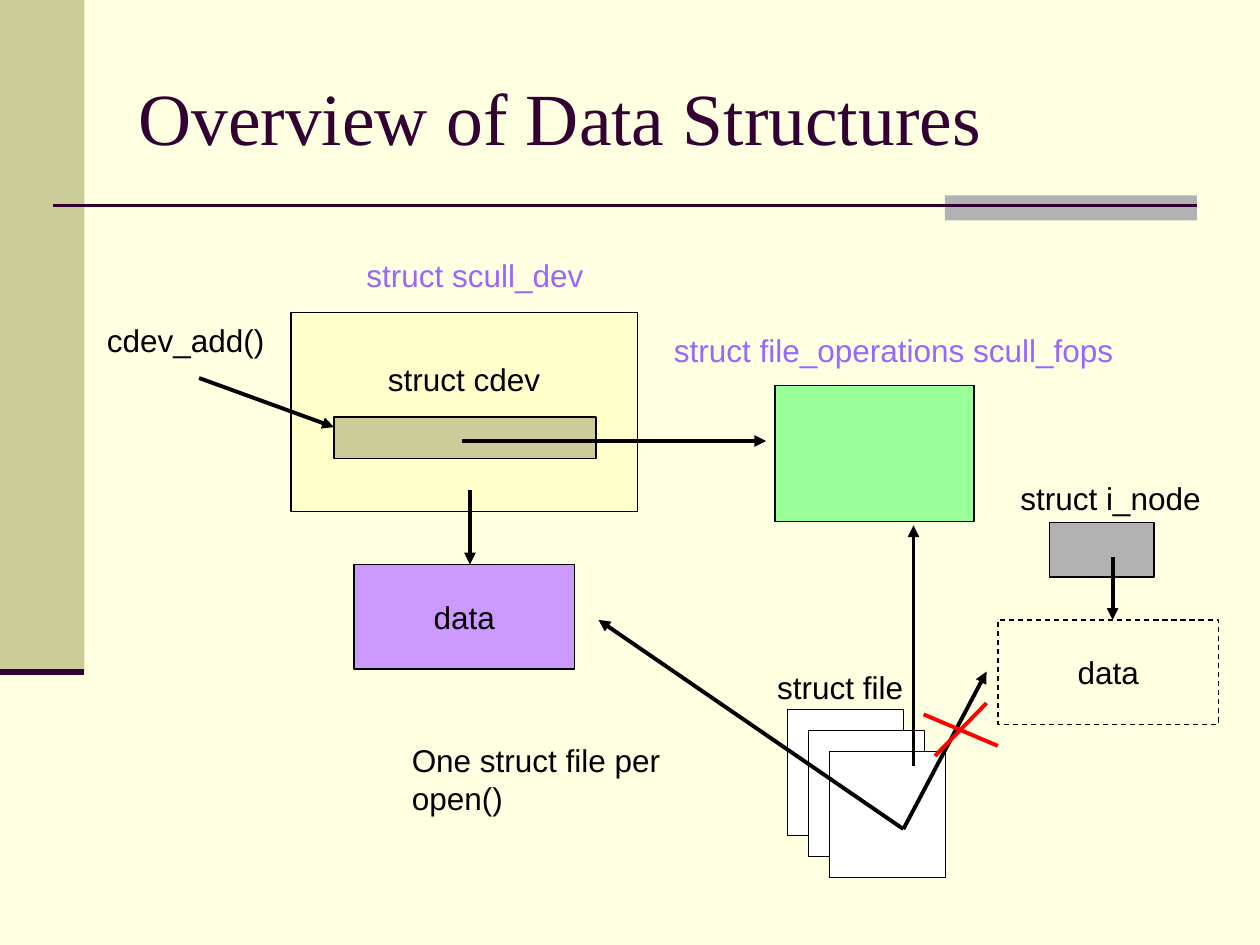
import dataclasses
import pptx
import pptx.dml.color
import pptx.enum.dml
import pptx.enum.shapes
import pptx.enum.text
import pptx.oxml
import pptx.oxml.ns
import pptx.util


@dataclasses.dataclass(frozen=True)
class Theme:
    page: str = "FFFFE1"
    band: str = "CCCC99"
    dark: str = "330033"
    grey: str = "B2B2B2"
    cream: str = "FFFFCC"
    green: str = "99FF99"
    lilac: str = "CC99FF"
    violet: str = "9966FF"
    white: str = "FFFFFF"
    black: str = "000000"
    red: str = "FF0000"
    serif: str = "Times New Roman"
    sans: str = "Arial"
    head: float = 42
    body: float = 18
    thin: float = 0.75
    thick: float = 2.25


@dataclasses.dataclass(frozen=True)
class Box:
    """A region in grid cells; each cell is one inch square."""
    left: float
    top: float
    width: float
    height: float

    def place(self, x, y):
        return (pptx.util.Inches(self.left + x), pptx.util.Inches(self.top + y))


THEME = Theme()
COLS, ROWS = 10, 7.5
LABEL = 0.4  # height of a one-line label


def paint(color):
    return pptx.dml.color.RGBColor.from_string(color)


def write(shape, text, color, font=THEME.sans, size=THEME.body,
          align=None, middle=False, wrap=False):
    frame = shape.text_frame
    frame.word_wrap = wrap
    anchor = pptx.enum.text.MSO_ANCHOR
    frame.vertical_anchor = anchor.MIDDLE if middle else anchor.TOP
    para = frame.paragraphs[0]
    para.text = text
    para.alignment = align
    para.font.name = font
    para.font.size = pptx.util.Pt(size)
    para.font.color.rgb = paint(color)


def label(slide, box, x, y, width, text, color=THEME.black):
    shape = slide.shapes.add_textbox(
        *box.place(x, y), pptx.util.Inches(width), pptx.util.Inches(LABEL))
    write(shape, text, color)


def block(slide, box, x, y, width, height, fill=None, edge=True, text=None):
    shape = slide.shapes.add_shape(
        pptx.enum.shapes.MSO_SHAPE.RECTANGLE, *box.place(x, y),
        pptx.util.Inches(width), pptx.util.Inches(height))
    shape.shadow.inherit = False
    if fill:
        shape.fill.solid()
        shape.fill.fore_color.rgb = paint(fill)
    else:
        shape.fill.background()
    if edge:
        shape.line.color.rgb = paint(THEME.black)
        shape.line.width = pptx.util.Pt(THEME.thin)
    else:
        shape.line.fill.background()
    if text:
        write(shape, text, THEME.black,
              align=pptx.enum.text.PP_ALIGN.CENTER, middle=True)
    return shape


def stroke(slide, box, start, end, color=THEME.black, width=THEME.thick):
    line = slide.shapes.add_connector(
        pptx.enum.shapes.MSO_CONNECTOR.STRAIGHT,
        *box.place(*start), *box.place(*end))
    line.line.color.rgb = paint(color)
    line.line.width = pptx.util.Pt(width)
    props = line._element.spPr
    props.append(pptx.oxml.parse_xml(
        f"<a:effectLst {pptx.oxml.ns.nsdecls('a')}/>"))
    return line


def arrow(slide, box, start, end):
    line = stroke(slide, box, start, end)
    line.line._get_or_add_ln().append(pptx.oxml.parse_xml(
        f"<a:tailEnd {pptx.oxml.ns.nsdecls('a')} type='triangle'/>"))


def frame(slide, box):
    # Side band, corner bar and rules
    side, foot = 0.67, 5.33
    block(slide, box, 0, 0, side, foot, THEME.band, edge=False)
    block(slide, box, 7.5, 1.55, 2, 0.2, THEME.grey, edge=False)
    stroke(slide, box, (0.42, 1.63), (9.5, 1.63), THEME.dark, 1.5)
    stroke(slide, box, (0, foot), (side, foot), THEME.dark, 3.5)


def title(slide, box):
    shape = slide.shapes.add_textbox(
        *box.place(0, 0), pptx.util.Inches(box.width),
        pptx.util.Inches(box.height))
    write(shape, "Overview of Data Structures", THEME.dark, THEME.serif,
          THEME.head, middle=True, wrap=True)


def device(slide, box):
    # Device struct with its embedded cdev
    block(slide, box, 1.56, 0.5, 2.75, 1.58, THEME.cream)
    label(slide, box, 2.06, 0, 1.92, "struct scull_dev", THEME.violet)
    block(slide, box, 1.9, 1.33, 2.08, 0.33, THEME.band)
    label(slide, box, 2.23, 0.83, 1.41, "struct cdev")
    arrow(slide, box, (2.92, 1.52), (5.33, 1.52))
    # Registration call
    label(slide, box, 0, 0.52, 1.45, "cdev_add()")
    arrow(slide, box, (0.83, 1.02), (1.9, 1.41))
    # Device data
    block(slide, box, 2.06, 2.5, 1.75, 0.83, THEME.lilac, text="data")
    arrow(slide, box, (2.98, 1.91), (2.98, 2.5))


def table(slide, box):
    # File operations
    block(slide, box, 0.9, 0.48, 1.58, 1.08, THEME.green)
    label(slide, box, 0, 0, box.width,
          "struct file_operations scull_fops", THEME.violet)


def inode(slide, box):
    # Inode and its unused data
    block(slide, box, 0.41, LABEL, 0.83, 0.43, THEME.grey)
    label(slide, box, 0.08, 0, 1.63, "struct i_node")
    data = block(slide, box, 0, 1.17, box.width, 0.83, text="data")
    data.line.dash_style = pptx.enum.dml.MSO_LINE.DASH
    arrow(slide, box, (0.91, 0.67), (0.91, 1.17))


def files(slide, box):
    # Stack of open files
    step = 1 / 6
    for num in range(3):
        block(slide, box, 3.08 + num * step, 0.38 + num * step,
              0.92, 1, THEME.white)
    label(slide, box, 2.9, 0, 1.2, "struct file")
    label(slide, box, 0, 0.58, 2.96, "One struct file per open()")
    # Links to inode data, device data and operations
    root = (4, 1.33)
    arrow(slide, box, root, (4.66, 0.08))
    arrow(slide, box, root, (1.58, -0.33))
    # Cross over the link to inode data
    stroke(slide, box, (4.66, 0.33), (4.25, 0.75), THEME.red)
    stroke(slide, box, (4.16, 0.42), (4.75, 0.67), THEME.red)
    arrow(slide, box, (4.08, 0.83), (4.08, -1.08))


def main():
    deck = pptx.Presentation()
    deck.slide_width = pptx.util.Inches(COLS)
    deck.slide_height = pptx.util.Inches(ROWS)
    slide = deck.slides.add_slide(deck.slide_layouts[6])
    slide.background.fill.solid()
    slide.background.fill.fore_color.rgb = paint(THEME.page)
    frame(slide, Box(0, 0, COLS, ROWS))
    title(slide, Box(1, 0.3, 8.5, 1.25))
    device(slide, Box(0.75, 1.98, 4.31, 3.33))
    table(slide, Box(5.25, 2.58, 3.69, 1.56))
    inode(slide, Box(7.92, 3.75, 1.75, 2))
    files(slide, Box(3.17, 5.25, 4.33, 1.71))
    deck.save("out.pptx")


if __name__ == "__main__":
    main()
